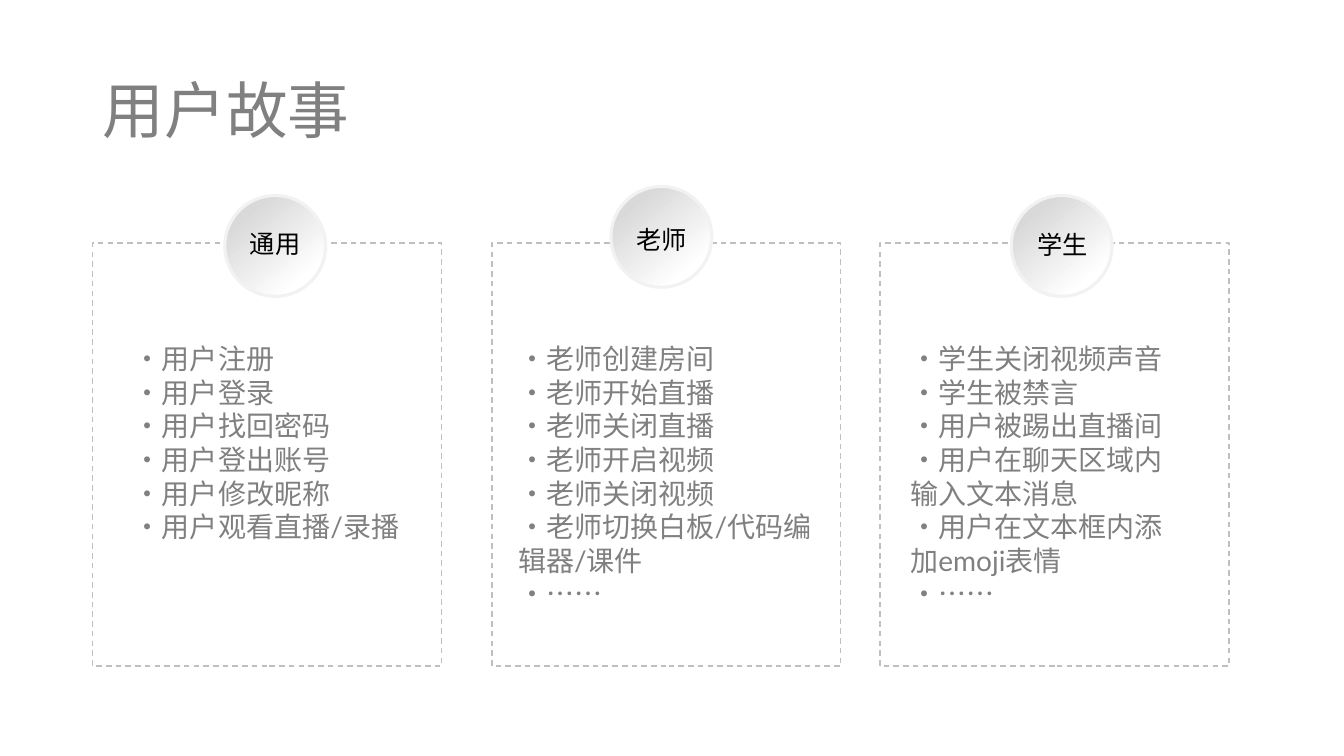
from dataclasses import dataclass

from lxml import etree
from pptx import Presentation
from pptx.dml.color import RGBColor
from pptx.enum import dml, shapes, text
from pptx.oxml import ns
from pptx.util import Inches, Pt


@dataclass(frozen=True)
class Theme:
    body_font: str = "Lato"
    bullet_font: str = "Noto Sans CJK SC"
    grey: RGBColor = RGBColor(0x80, 0x80, 0x80)
    black: RGBColor = RGBColor(0, 0, 0)
    frame: RGBColor = RGBColor(0xBF, 0xBF, 0xBF)
    badge_dark: RGBColor = RGBColor(0xD9, 0xD9, 0xD9)
    badge_light: RGBColor = RGBColor(0xFF, 0xFF, 0xFF)
    badge_edge: RGBColor = RGBColor(0xF2, 0xF2, 0xF2)
    title_size: int = 44
    story_size: int = 20
    role_size: int = 18


@dataclass(frozen=True)
class Area:
    left: float
    top: float
    width: float
    height: float

    def lengths(self) -> tuple:
        return tuple(Inches(n) for n in (self.left, self.top, self.width, self.height))


@dataclass(frozen=True)
class RoleCard:
    role: str
    frame_left: float
    badge: Area
    label: Area
    story_area: Area
    stories: tuple[str, ...]


THEME = Theme()
CARDS = (
    RoleCard("通用", 0.92, Area(2.23, 1.94, 1, 1), Area(2.38, 2.22, 1.3, 0.4),
             Area(1.23, 3.34, 2.83, 2.12),
             ("用户注册", "用户登录", "用户找回密码", "用户登出账号", "用户修改昵称",
              "用户观看直播/录播")),
    RoleCard("老师", 4.88, Area(6.06, 1.85, 1, 1), Area(6.21, 2.18, 0.85, 0.4),
             Area(5.04, 3.34, 3.25, 3.13),
             ("老师创建房间", "老师开始直播", "老师关闭直播", "老师开启视频", "老师关闭视频",
              "老师切换白板/代码编辑器/课件", "……")),
    RoleCard("学生", 8.73, Area(10.03, 1.94, 1, 1), Area(10.19, 2.23, 0.85, 0.4),
             Area(8.93, 3.34, 2.95, 2.79),
             ("学生关闭视频声音", "学生被禁言", "用户被踢出直播间", "用户在聊天区域内输入文本消息",
              "用户在文本框内添加emoji表情", "……")),
)


def style_font(font, size: int, color: RGBColor) -> None:
    font.name = THEME.body_font
    font.size = Pt(size)
    font.color.rgb = color


def add_bullet_span(para, wording: str) -> None:
    span = para.add_run()
    span.text = wording
    span.font.name = THEME.bullet_font
    # East Asian font keeps the dot full width
    east_asian = etree.SubElement(span.font._element, ns.qn("a:ea"))
    east_asian.set("typeface", THEME.bullet_font)


def add_title(page, wording: str) -> None:
    title = page.shapes.title
    title.left, title.top, title.width, title.height = Area(0.92, 0.4, 11.5, 1.45).lengths()
    title.text_frame.text = wording
    title.text_frame.vertical_anchor = text.MSO_ANCHOR.MIDDLE
    para = title.text_frame.paragraphs[0]
    para.alignment = text.PP_ALIGN.LEFT
    para.line_spacing = 0.9
    style_font(para.font, THEME.title_size, THEME.grey)


def add_frame(page, left: float) -> None:
    frame = page.shapes.add_shape(shapes.MSO_SHAPE.RECTANGLE,
                                  *Area(left, 2.41, 3.46, 4.2).lengths())
    frame.shadow.inherit = False
    frame.fill.background()
    frame.line.color.rgb = THEME.frame
    frame.line.width = Pt(1)
    frame.line.dash_style = dml.MSO_LINE.DASH


def add_badge(page, area: Area) -> None:
    badge = page.shapes.add_shape(shapes.MSO_SHAPE.OVAL, *area.lengths())
    badge.shadow.inherit = False
    badge.fill.gradient()
    badge.fill.gradient_angle = 310
    colors = (THEME.badge_dark, THEME.badge_light)
    for stop, position, color in zip(badge.fill.gradient_stops, (0.19, 0.81), colors):
        stop.position = position
        stop.color.rgb = color
    badge.line.color.rgb = THEME.badge_edge
    badge.line.width = Pt(2.25)


def add_text_frame(page, area: Area):
    frame = page.shapes.add_textbox(*area.lengths()).text_frame
    frame.word_wrap = True
    frame.auto_size = text.MSO_AUTO_SIZE.SHAPE_TO_FIT_TEXT
    return frame


def add_label(page, card: RoleCard) -> None:
    para = add_text_frame(page, card.label).paragraphs[0]
    para.text = card.role
    style_font(para.font, THEME.role_size, THEME.black)


def add_stories(page, card: RoleCard) -> None:
    frame = add_text_frame(page, card.story_area)
    for index, story in enumerate(card.stories):
        para = frame.add_paragraph() if index else frame.paragraphs[0]
        style_font(para.font, THEME.story_size, THEME.grey)
        if story == "……":
            add_bullet_span(para, "·" + story)
        else:
            add_bullet_span(para, "·")
            para.add_run().text = story


def main() -> None:
    deck = Presentation()
    deck.slide_width, deck.slide_height = Inches(13.33), Inches(7.5)
    page = deck.slides.add_slide(deck.slide_layouts[5])

    add_title(page, "用户故事")

    # One framed card for each role
    for card in CARDS:
        add_frame(page, card.frame_left)
        add_badge(page, card.badge)
        add_label(page, card)
        add_stories(page, card)

    deck.save("out.pptx")


if __name__ == "__main__":
    main()
